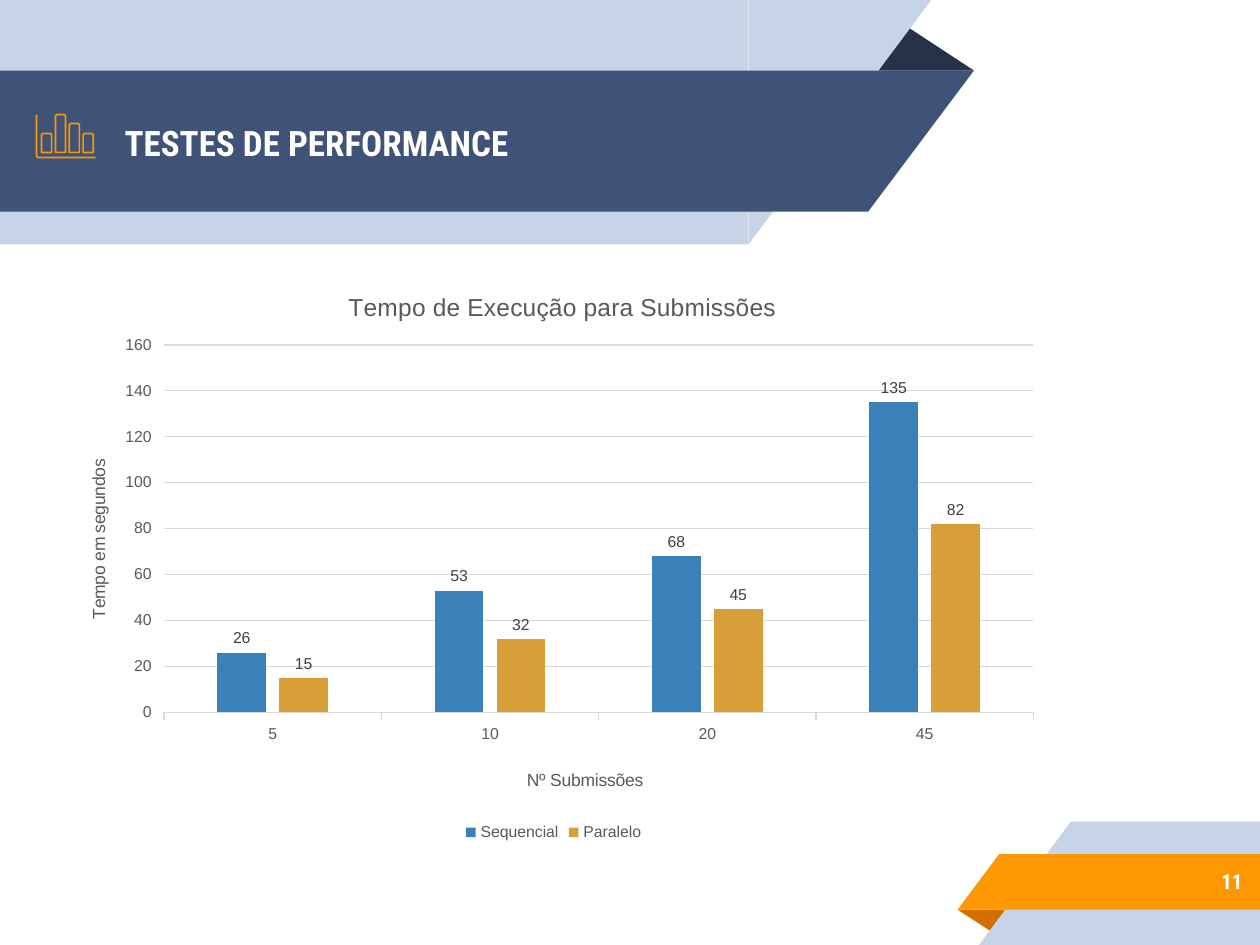
from lxml.etree import SubElement
from pptx import Presentation
from pptx.chart.data import CategoryChartData
from pptx.dml.color import RGBColor
from pptx.enum.chart import XL_CHART_TYPE as ChartType, XL_LABEL_POSITION as LabelPosition
from pptx.enum.chart import XL_LEGEND_POSITION as LegendPosition, XL_TICK_MARK as TickMark
from pptx.enum.shapes import MSO_SHAPE as Shape
from pptx.enum.text import MSO_ANCHOR as Anchor, PP_ALIGN as Align
from pptx.oxml.ns import qn
from pptx.util import Inches, Pt

hex_color = RGBColor.from_string
PALE, NAVY, ORANGE, WHITE, GRAY, GRID = "C7D3E6", "3F5378", "FF9800", "FFFFFF", "595959", "D9D9D9"

presentation = Presentation()
presentation.slide_width, presentation.slide_height = Inches(10), Inches(7.5)
column = presentation.slide_width // 100
row = presentation.slide_height // 75
slide = presentation.slides.add_slide(presentation.slide_layouts[6])


def style_font(font, size, color, name="Arial", bold=False):
    font.size, font.name, font.bold = Pt(size), name, bold
    font.color.rgb = hex_color(color)


def set_layout(parent, **values):
    layout = parent.find(qn("c:layout"))
    if layout is None:
        layout = parent.makeelement(qn("c:layout"))
        parent.insert(0, layout)
    manual = SubElement(layout, qn("c:manualLayout"))
    for tag, value in values.items():
        SubElement(manual, qn(f"c:{tag}")).set("val", str(value))


ribbons = [
    (Shape.ISOSCELES_TRIANGLE, 68.8, 1.8, 8.5, 3.8, "263248", 0, False),
    (Shape.RECTANGLE, 0, 0, 59.4, 19.4, PALE, 180, True),
    (Shape.RIGHT_TRIANGLE, 59.4, 0, 14.5, 19.4, PALE, 180, True),
    (Shape.RECTANGLE, 0, 5.6, 68.9, 11.2, NAVY, 180, True),
    (Shape.RIGHT_TRIANGLE, 68.9, 5.6, 8.4, 11.2, NAVY, 180, True),
    (Shape.ISOSCELES_TRIANGLE, 76, 72.2, 4.3, 1.9, "D26F00", 180, False),
    (Shape.RECTANGLE, 85, 65.2, 15, 9.8, PALE, 0, True),
    (Shape.RIGHT_TRIANGLE, 77.7, 65.2, 7.3, 9.8, PALE, 0, True),
    (Shape.RECTANGLE, 79.3, 67.8, 20.7, 4.4, ORANGE, 0, True),
    (Shape.RIGHT_TRIANGLE, 76, 67.8, 3.3, 4.4, ORANGE, 0, True),
]
for kind, left, top, width, height, color, rotation, flipped in ribbons:
    shape = slide.shapes.add_shape(
        kind, int(left * column), int(top * row), int(width * column), int(height * row))
    shape.shadow.inherit = False
    shape.fill.solid()
    shape.fill.fore_color.rgb = hex_color(color)
    shape.line.fill.background()
    shape.rotation = rotation
    if flipped:
        shape.element.spPr.get_or_add_xfrm().set("flipH", "1")
    if kind == Shape.ISOSCELES_TRIANGLE:
        shape.adjustments[0] = 0.32

labels = [
    ("TESTES DE PERFORMANCE", 8.9, 5.7, 57.5, 11.2, 20, Align.LEFT),
    ("11", 83.3, 67.6, 16.3, 4.6, 12, Align.RIGHT),
]
for text, left, top, width, height, size, alignment in labels:
    box = slide.shapes.add_textbox(
        int(left * column), int(top * row), int(width * column), int(height * row))
    frame = box.text_frame
    frame.word_wrap = True
    frame.vertical_anchor = Anchor.MIDDLE
    frame.margin_left = frame.margin_right = column
    frame.margin_top = frame.margin_bottom = row
    frame.text = text
    paragraph = frame.paragraphs[0]
    paragraph.alignment = alignment
    style_font(paragraph.runs[0].font, size, WHITE, "Roboto Condensed", True)

chart_data = CategoryChartData()
chart_data.categories = ["5", "10", "20", "45"]
chart_data.add_series("Sequencial", [26, 53, 68, 135])
chart_data.add_series("Paralelo", [15, 32, 45, 82])
chart = slide.shapes.add_chart(
    ChartType.COLUMN_CLUSTERED, int(4.3 * column), int(20.9 * row),
    int(79.3 * column), int(46.3 * row), chart_data).chart
style_font(chart.font, 10, "000000")

category_axis, value_axis = chart.category_axis, chart.value_axis
titles = [
    (chart.chart_title, "Tempo de Execução para Submissões", 14, 0.29, 0.04),
    (category_axis.axis_title, "Nº Submissões", 10, 0.47, 0.86),
    (value_axis.axis_title, "Tempo em segundos", 10, 0.03, 0.33),
]
for title, text, size, left, top in titles:
    title.text_frame.text = text
    style_font(title.text_frame.paragraphs[0].runs[0].font, size, GRAY)
    set_layout(title.element, xMode="edge", yMode="edge", x=left, y=top)
plot_area = category_axis.axis_title.element.getparent().getparent()
set_layout(plot_area, layoutTarget="inner", xMode="edge", yMode="edge",
           x=0.11, y=0.14, w=0.87, h=0.63)

for axis in (category_axis, value_axis):
    axis.major_tick_mark = TickMark.OUTSIDE
    style_font(axis.tick_labels.font, 9, GRAY)
value_axis.minimum_scale, value_axis.maximum_scale, value_axis.major_unit = 0, 160, 20
value_axis.format.line.fill.background()
for line in (category_axis.format.line, value_axis.major_gridlines.format.line):
    line.color.rgb = hex_color(GRID)
    line.width = Pt(0.75)

chart.has_legend = True
chart.legend.position = LegendPosition.BOTTOM
chart.legend.include_in_layout = False
style_font(chart.legend.font, 9, GRAY)

plot = chart.plots[0]
plot.vary_by_categories = False
plot.gap_width, plot.overlap = 219, -27
for series, color in zip(plot.series, ("3A81BA", "D89F39")):
    series.format.fill.solid()
    series.format.fill.fore_color.rgb = hex_color(color)
    data_labels = series.data_labels
    data_labels.show_value = True
    data_labels.position = LabelPosition.OUTSIDE_END
    style_font(data_labels.font, 9, "404040")

icon_outlines = [([(2.9, 9.1), (2.9, 12.4), (3, 12.5), (7.6, 12.5)], False)]
for index, top in enumerate((10.6, 9.1, 9.8, 10.6)):
    left = 3.3 + 1.1 * index
    right = left + 0.8
    icon_outlines.append(([
        (left, 12.1), (left, top + 0.1), (left + 0.1, top),
        (right - 0.1, top), (right, top + 0.1), (right, 12.1)], True))
for points, closed in icon_outlines:
    corners = [(int(x * column), int(y * row)) for x, y in points]
    builder = slide.shapes.build_freeform(*corners[0])
    builder.add_line_segments(corners[1:], close=closed)
    shape = builder.convert_to_shape()
    shape.shadow.inherit = False
    shape.fill.background()
    shape.line.color.rgb = hex_color(ORANGE)
    shape.line.width = Pt(0.96)

presentation.save("out.pptx")
